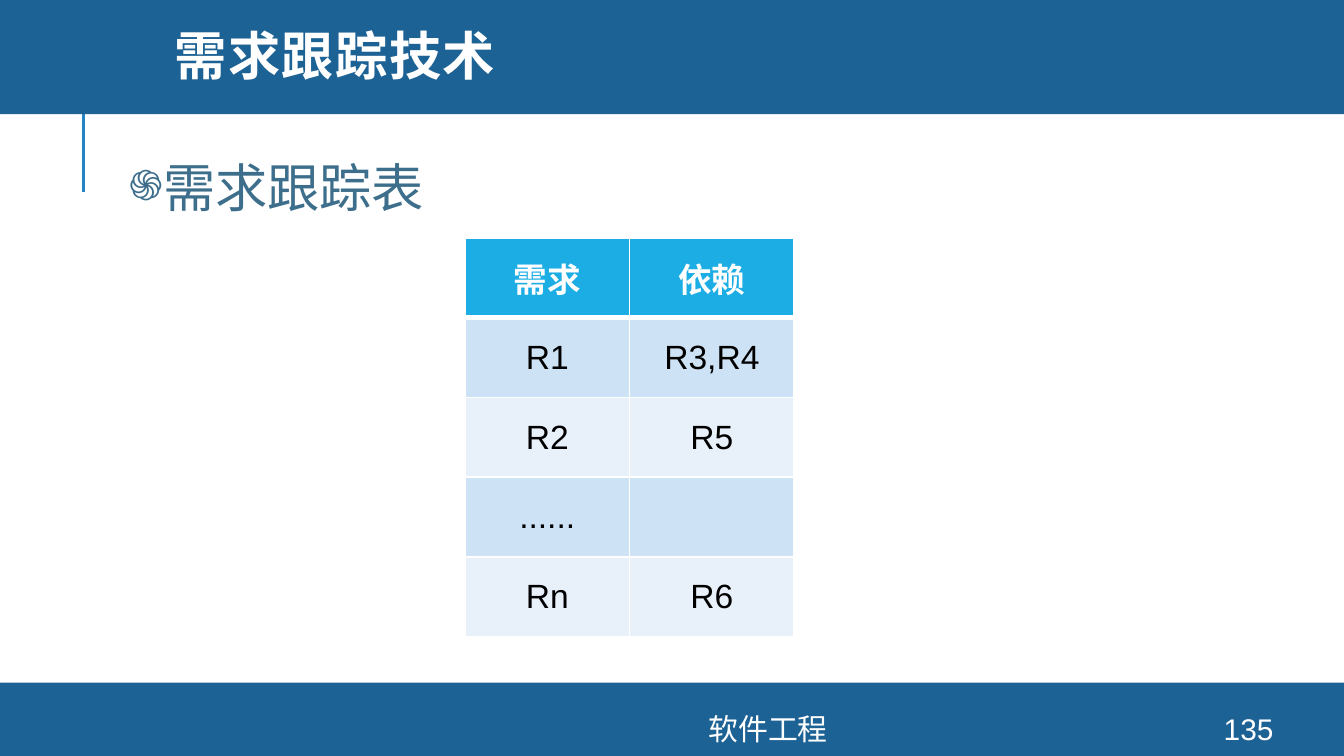
from dataclasses import dataclass

import lxml.etree
import pptx
import pptx.dml.color
import pptx.enum.shapes
import pptx.enum.text
import pptx.oxml.ns
import pptx.slide
import pptx.table
import pptx.text.text
import pptx.util

Inches = pptx.util.Inches
Align = pptx.enum.text.PP_ALIGN
qn = pptx.oxml.ns.qn


@dataclass(frozen=True)
class Theme:
    bar: str = "1D6294"
    accent_line: str = "2683C6"
    heading: str = "3D6E8C"
    header_fill: str = "1CADE4"
    bands: tuple[str, str] = ("CDE3F5", "E8F1FA")
    white: str = "FFFFFF"
    black: str = "000000"
    title_font: str = "Montserrat"
    body_font: str = "Arial"
    title_size: int = 28
    table_size: int = 18
    footer_size: int = 16


@dataclass(frozen=True)
class Box:
    left: float
    top: float
    width: float
    height: float

    def lengths(self) -> tuple[int, ...]:
        return tuple(Inches(v) for v in (self.left, self.top, self.width, self.height))


@dataclass(frozen=True)
class Label:
    text: str
    box: Box
    size: int
    color: str
    font: str
    align: Align = Align.LEFT
    bold: bool = False


THEME = Theme()
SLIDE_WIDTH = 10
SLIDE_HEIGHT = SLIDE_WIDTH * 9 / 16
BARS = (Box(0, 0, SLIDE_WIDTH, 0.85), Box(0, 5.08, SLIDE_WIDTH, SLIDE_HEIGHT - 5.08))
TITLE = Label("需求跟踪技术", Box(1.2, 0, 8.49, 0.9), THEME.title_size,
              THEME.white, THEME.title_font, bold=True)
FOOTERS = tuple(
    Label(text, Box(left, 5.31, width, 0.23), THEME.footer_size,
          THEME.white, THEME.body_font, Align.CENTER)
    for text, left, width in (("软件工程", 2.61, 6.21), ("135", 8.89, 0.8))
)
HEADING = Label("需求跟踪表", Box(0.84, 1.01, 9, 4.16), THEME.title_size,
                THEME.heading, THEME.body_font, Align.JUSTIFY)
TABLE_BOX = Box(3.46, 1.77, 2.45, 2.97)
TABLE_ROWS = (("需求", "依赖"), ("R1", "R3,R4"), ("R2", "R5"), ("......", ""), ("Rn", "R6"))


def rgb(color: str) -> pptx.dml.color.RGBColor:
    return pptx.dml.color.RGBColor.from_string(color)


def style_paragraph(paragraph: pptx.text.text._Paragraph, size: int, color: str,
                    font: str, align: Align, bold: bool) -> None:
    paragraph.alignment = align
    for run in paragraph.runs:
        run.font.size = pptx.util.Pt(size)
        run.font.color.rgb = rgb(color)
        run.font.name = font
        run.font.bold = bold


def add_bar(slide: pptx.slide.Slide, box: Box) -> None:
    shape = slide.shapes.add_shape(pptx.enum.shapes.MSO_SHAPE.RECTANGLE, *box.lengths())
    shape.shadow.inherit = False
    shape.fill.solid()
    shape.fill.fore_color.rgb = rgb(THEME.bar)
    shape.line.fill.background()


def add_accent_line(slide: pptx.slide.Slide) -> None:
    line = slide.shapes.add_connector(
        pptx.enum.shapes.MSO_CONNECTOR.STRAIGHT,
        Inches(0.62), Inches(1.43), Inches(0.62), Inches(0.68))
    line.line.color.rgb = rgb(THEME.accent_line)
    line.line.width = pptx.util.Pt(1.5)
    lxml.etree.SubElement(line._element.spPr, qn("a:effectLst"))


def add_label(slide: pptx.slide.Slide, label: Label) -> pptx.text.text.TextFrame:
    frame = slide.shapes.add_textbox(*label.box.lengths()).text_frame
    frame.word_wrap = True
    frame.vertical_anchor = pptx.enum.text.MSO_ANCHOR.MIDDLE
    frame.text = label.text
    style_paragraph(frame.paragraphs[0], label.size, label.color,
                    label.font, label.align, label.bold)
    return frame


def add_title(slide: pptx.slide.Slide) -> None:
    paragraph = add_label(slide, TITLE).paragraphs[0]
    paragraph.line_spacing = 0.8
    paragraph.runs[0].font._element.set("spc", "80")


def add_heading(slide: pptx.slide.Slide) -> None:
    frame = add_label(slide, HEADING)
    frame.vertical_anchor = pptx.enum.text.MSO_ANCHOR.TOP
    frame.margin_left = frame.margin_right = Inches(0.05)
    frame.margin_top = frame.margin_bottom = Inches(0.05)
    paragraph = frame.paragraphs[0]
    paragraph.line_spacing = 1.2
    properties = paragraph._p.get_or_add_pPr()
    properties.set("marL", str(Inches(0.07)))
    properties.set("indent", "0")
    color = lxml.etree.SubElement(properties, qn("a:buClr"))
    lxml.etree.SubElement(color, qn("a:srgbClr"), val=THEME.heading)
    lxml.etree.SubElement(properties, qn("a:buSzPct"), val="80000")
    lxml.etree.SubElement(properties, qn("a:buFont"), typeface=THEME.body_font)
    lxml.etree.SubElement(properties, qn("a:buChar"), char="֍")


def set_borders(cell: pptx.table._Cell, widths: dict[str, int]) -> None:
    properties = cell._tc.get_or_add_tcPr()
    for position, (side, width) in enumerate(widths.items()):
        border = lxml.etree.Element(qn(f"a:{side}"), w=str(pptx.util.Pt(width)))
        fill = lxml.etree.SubElement(border, qn("a:solidFill"))
        lxml.etree.SubElement(fill, qn("a:srgbClr"), val=THEME.white)
        properties.insert(position, border)


def add_requirements_table(slide: pptx.slide.Slide) -> None:
    table = slide.shapes.add_table(
        len(TABLE_ROWS), len(TABLE_ROWS[0]), *TABLE_BOX.lengths()).table
    for row, texts in enumerate(TABLE_ROWS):
        is_header = row == 0
        for column, text in enumerate(texts):
            cell = table.cell(row, column)
            cell.text_frame.text = text
            cell.vertical_anchor = pptx.enum.text.MSO_ANCHOR.MIDDLE
            style_paragraph(cell.text_frame.paragraphs[0], THEME.table_size,
                            THEME.white if is_header else THEME.black,
                            THEME.body_font, Align.CENTER, is_header)
            cell.fill.solid()
            cell.fill.fore_color.rgb = rgb(
                THEME.header_fill if is_header else THEME.bands[(row - 1) % 2])
            set_borders(cell, {"lnL": 1, "lnR": 1, "lnT": 3 if row == 1 else 1,
                               "lnB": 3 if is_header else 1})


def main() -> None:
    presentation = pptx.Presentation()
    presentation.slide_width = Inches(SLIDE_WIDTH)
    presentation.slide_height = Inches(SLIDE_HEIGHT)
    slide = presentation.slides.add_slide(presentation.slide_layouts[6])
    add_accent_line(slide)
    for bar in BARS:
        add_bar(slide, bar)
    add_title(slide)
    for footer in FOOTERS:
        add_label(slide, footer)
    add_heading(slide)
    add_requirements_table(slide)
    presentation.save("out.pptx")


if __name__ == "__main__":
    main()
